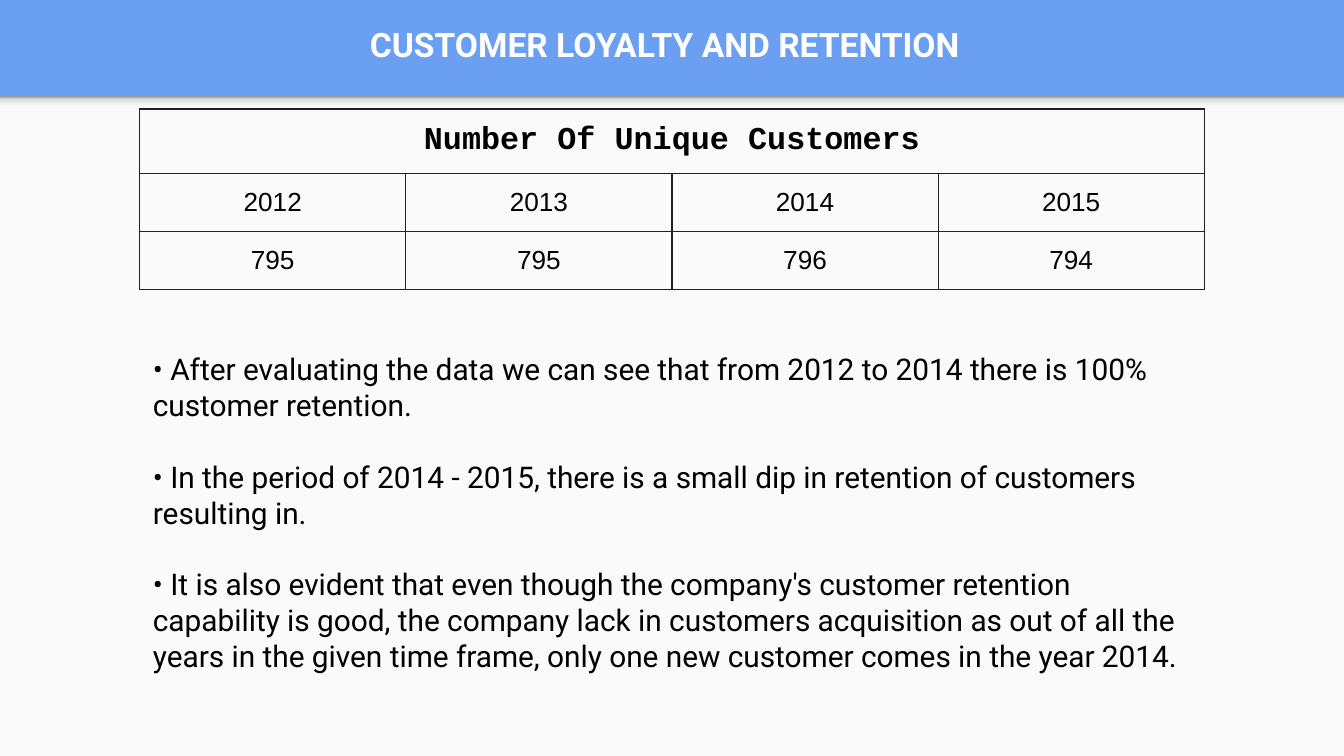
from lxml import etree
from pptx import Presentation
from pptx.dml.color import RGBColor
from pptx.enum.shapes import MSO_SHAPE
from pptx.enum.text import MSO_ANCHOR as Anchor, MSO_AUTO_SIZE as AutoSize, PP_ALIGN as Align
from pptx.oxml import parse_xml
from pptx.oxml.ns import qn
from pptx.util import Cm, Pt

DRAWING_NS = "http://schemas.openxmlformats.org/drawingml/2006/main"
WIDTH, HEIGHT = 25.4, 14.28
HEADER_HEIGHT = 1.82
INSET = Cm(0.25)

YEARLY_CUSTOMERS = [("2012", "795"), ("2013", "795"), ("2014", "796"), ("2015", "794")]
FINDINGS = [
    "• After evaluating the data we can see that from 2012 to 2014 there is 100% customer retention.",
    "• In the period of 2014 - 2015, there is a small dip in retention of customers resulting in.",
    "• It is also evident that even though the company's customer retention capability is good, "
    "the company lack in customers acquisition as out of all the years in the given time frame, "
    "only one new customer comes in the year 2014.",
]


def color(hex_value):
    return RGBColor.from_string(hex_value)


def write(paragraph, text, font="Roboto", size=16, hex_color="000000", bold=False,
          align=Align.LEFT, space_before=0):
    paragraph.alignment = align
    paragraph.space_before = Pt(space_before)
    run = paragraph.add_run()
    run.text = text
    run.font.name, run.font.size, run.font.bold = font, Pt(size), bold
    run.font.color.rgb = color(hex_color)


def place(shape, left, top, width, height):
    shape.left, shape.top, shape.width, shape.height = map(Cm, (left, top, width, height))


def set_frame(frame, anchor, auto_size, left_inset=INSET):
    frame.word_wrap = True
    frame.vertical_anchor, frame.auto_size = anchor, auto_size
    frame.margin_left = left_inset
    frame.margin_right = frame.margin_top = frame.margin_bottom = INSET


def add_back_rectangle(slide, position, box):
    """Add a rectangle at the given depth, behind the placeholders."""
    shape = slide.shapes.add_shape(MSO_SHAPE.RECTANGLE, *map(Cm, box))
    shape.shadow.inherit = False
    shape.line.fill.background()
    tree = shape.element.getparent()
    tree.insert(2 + position, shape.element)
    return shape


def add_backdrop(slide, left, top, width, height):
    slide.background.fill.solid()
    slide.background.fill.fore_color.rgb = color("6B9FF1")

    # Light content panel
    panel = add_back_rectangle(slide, 0, (left, top, width, height))
    panel.fill.solid()
    panel.fill.fore_color.rgb = color("FAFAFA")

    # Soft shade under the header, dark at the top
    shade = add_back_rectangle(slide, 1, (left, top, width, 0.3))
    shade.fill.gradient()
    shade.fill.gradient_angle = 90
    stops = shade.element.find(".//" + qn("a:gsLst"))
    for stop in list(stops):
        stops.remove(stop)
    for percent, hex_value in [(0, "F9F9F9"), (36, "F9F9F9"), (80, "DEDEDE"), (100, "999999")]:
        stop = etree.SubElement(stops, qn("a:gs"), pos=str(percent * 1000))
        etree.SubElement(stop, qn("a:srgbClr"), val=hex_value)


def fill_title(title, left, top, width, height):
    place(title, left, top, width, height)
    set_frame(title.text_frame, Anchor.MIDDLE, AutoSize.NONE, left_inset=Cm(6.56))
    write(title.text_frame.paragraphs[0], "CUSTOMER LOYALTY AND RETENTION",
          size=18, hex_color="FFFFFF", bold=True)


def format_cell(cell):
    cell.vertical_anchor = Anchor.MIDDLE
    cell.margin_left = cell.margin_right = cell.margin_top = cell.margin_bottom = INSET
    cell.fill.background()
    properties = cell._tc.get_or_add_tcPr()
    for index, side in enumerate(("lnL", "lnR", "lnT", "lnB")):
        properties.insert(index, parse_xml(
            f'<a:{side} xmlns:a="{DRAWING_NS}" w="{Pt(0.75)}"><a:solidFill>'
            f'<a:srgbClr val="202124"/></a:solidFill></a:{side}>'))


def add_customer_table(slide, left, top, width, height):
    columns = len(YEARLY_CUSTOMERS)
    table = slide.shapes.add_table(3, columns, *map(Cm, (left, top, width, height))).table
    table.first_row = table.horz_banding = False
    for row in table.rows:
        for cell in row.cells:
            format_cell(cell)

    # Heading across all columns
    heading = table.cell(0, 0)
    heading.merge(table.cell(0, columns - 1))
    write(heading.text_frame.paragraphs[0], "Number Of Unique Customers",
          font="Courier New", size=17, bold=True, align=Align.CENTER)

    # Year above its count
    for column, values in enumerate(YEARLY_CUSTOMERS):
        for row, value in enumerate(values, start=1):
            write(table.cell(row, column).text_frame.paragraphs[0], value,
                  font="Arial", size=14, align=Align.CENTER)


def fill_findings(body, left, top, width, height):
    place(body, left, top, width, height)
    frame = body.text_frame
    set_frame(frame, Anchor.TOP, AutoSize.SHAPE_TO_FIT_TEXT)
    for index, finding in enumerate(FINDINGS):
        paragraph = frame.add_paragraph() if index else frame.paragraphs[0]
        write(paragraph, finding, space_before=19.2 if index else 0)
        # The bullet is part of the text, so wrapped lines start at the margin
        properties = paragraph._p.get_or_add_pPr()
        properties.set("marL", "0")
        properties.set("indent", "0")
        etree.SubElement(properties, qn("a:buNone"))


def main():
    presentation = Presentation()
    presentation.slide_width, presentation.slide_height = Cm(WIDTH), Cm(HEIGHT)
    slide = presentation.slides.add_slide(presentation.slide_layouts[1])

    add_backdrop(slide, 0, HEADER_HEIGHT, WIDTH, HEIGHT - HEADER_HEIGHT)
    fill_title(slide.shapes.title, 0.43, 0, 24.5, 1.68)
    add_customer_table(slide, 2.64, 2.06, 20.12, 3.18)
    fill_findings(slide.placeholders[1], 2.64, 6.38, 20.12, 7.37)

    presentation.save("out.pptx")


if __name__ == "__main__":
    main()
